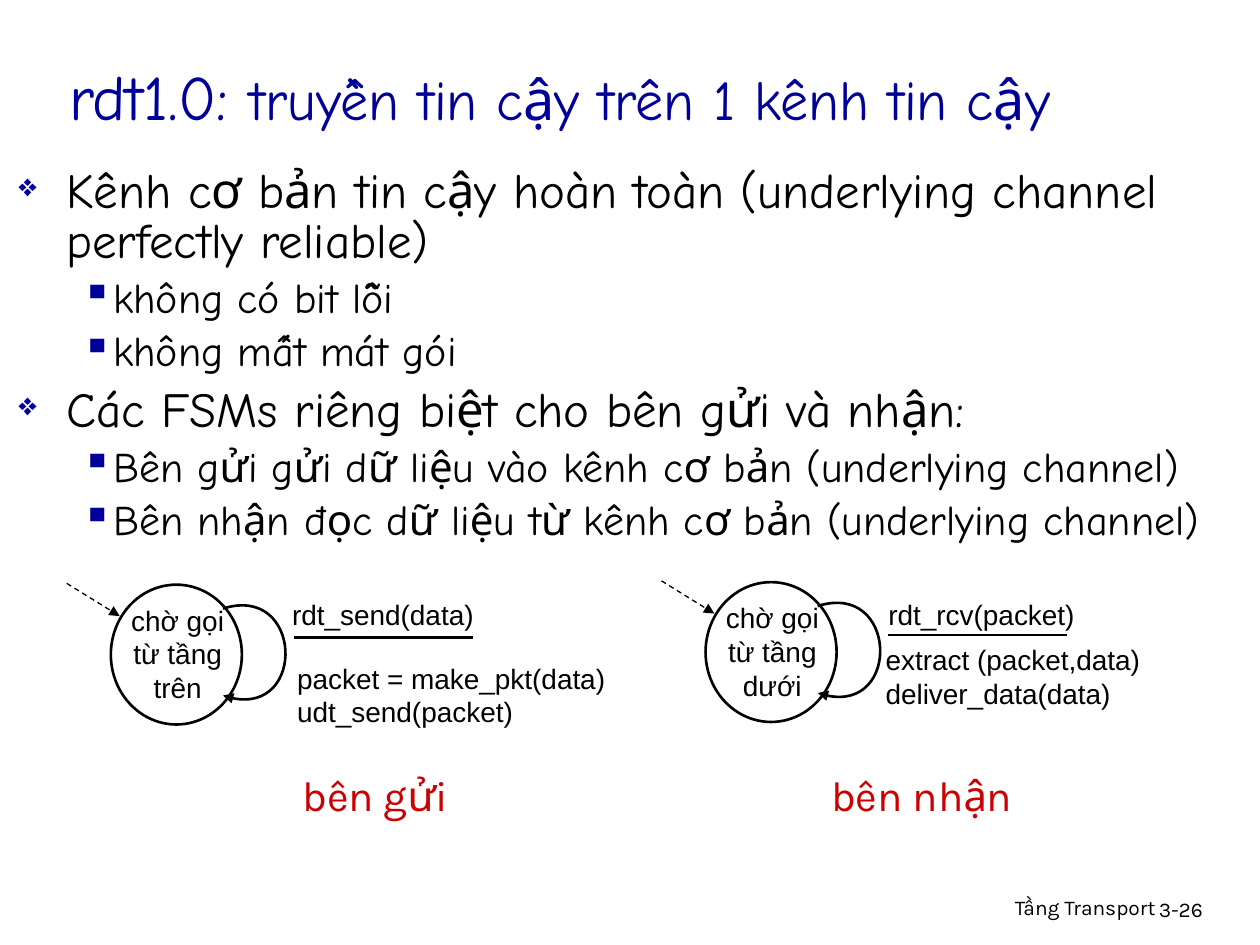
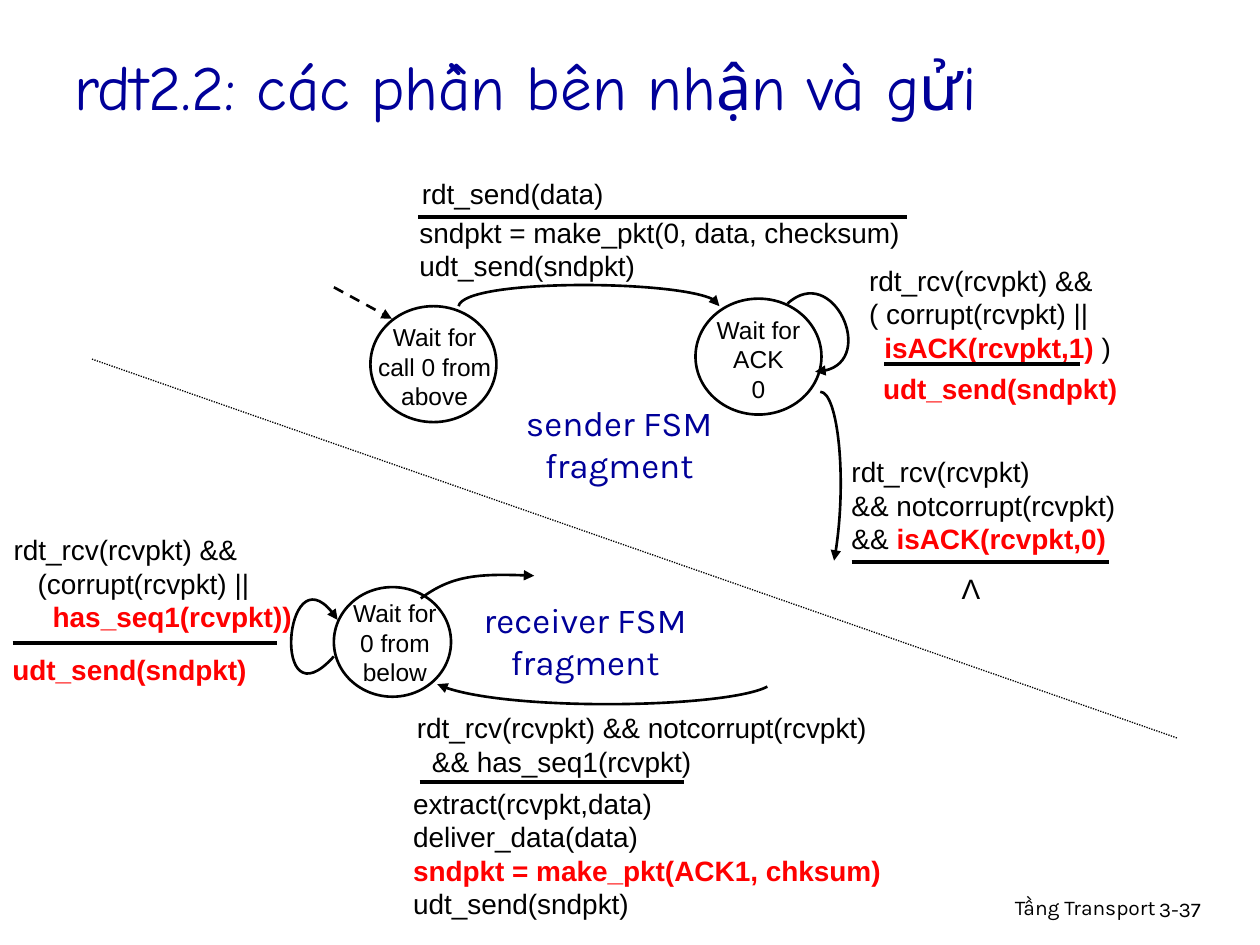
from dataclasses import dataclass

from lxml import etree
from pptx import Presentation
from pptx import util as u
from pptx.dml.color import RGBColor
from pptx.enum import dml, shapes, text
from pptx.oxml import ns

PX = 9144  # one px is a hundredth of an inch


@dataclass(frozen=True)
class Theme:
    black: str = "000000"
    white: str = "FFFFFF"
    blue: str = "000099"
    red: str = "CC0000"
    mark: str = "FF0000"
    hand: str = "Comic Neue"
    label: str = "Karla"
    code: str = "Arial"
    title: int = 36
    sub: int = 32
    body: int = 28
    item: int = 24
    side: int = 20
    event: int = 16
    state: int = 14
    foot: int = 12
    thin: float = 0.75
    line: float = 1.5
    rule: float = 2.25


T = Theme()
LEFT, MID, RIGHT = text.PP_ALIGN.LEFT, text.PP_ALIGN.CENTER, text.PP_ALIGN.RIGHT
DASH, DOTS = dml.MSO_LINE.DASH, dml.MSO_LINE.ROUND_DOT


# Basic formatting
def px(*nums):
    return [u.Emu(round(n * PX)) for n in nums]


def rgb(hue):
    return RGBColor.from_string(hue)


def add_tag(node, tag, **attrs):
    return etree.SubElement(node, ns.qn(tag), **attrs)


def set_font(font, name, size, hue, bold=None):
    font.name, font.size, font.bold = name, u.Pt(size), bold
    font.color.rgb = rgb(hue)


def set_line(shape, width, arrow=False, dash=None):
    line = shape.line
    line.color.rgb, line.width = rgb(T.black), u.Pt(width)
    if dash is not None:
        line.dash_style = dash
    if arrow:
        add_tag(line._get_or_add_ln(), "a:tailEnd", type="triangle")


# Text
def put_line(para, line, name, size, hue):
    """Words between asterisks are bold red."""
    bits = [(i % 2, t) for i, t in enumerate(line.split("*")) if t]
    if len(bits) == 1 and bits[0][0]:
        set_font(para.font, name, size, T.mark, True)
    else:
        set_font(para.font, name, size, hue)
    for strong, words in bits:
        run = para.add_run()
        run.text = words
        if strong and len(bits) > 1:
            run.font.bold = True
            run.font.color.rgb = rgb(T.mark)


def add_text(slide, box, lines, size=T.event, name=T.code, hue=T.black,
             align=LEFT, wrap=True):
    """A line is a string, or a string with its indent."""
    frame = slide.shapes.add_textbox(*px(*box)).text_frame
    frame.word_wrap = wrap
    if not wrap:
        frame.auto_size = text.MSO_AUTO_SIZE.SHAPE_TO_FIT_TEXT
    for i, line in enumerate(lines):
        para = frame.paragraphs[0] if i == 0 else frame.add_paragraph()
        para.alignment = align
        if isinstance(line, tuple):
            line, indent = line
            para._p.get_or_add_pPr().set("marL", str(indent * PX))
        put_line(para, line, name, size, hue)


def add_list(slide, box, items):
    frame = slide.shapes.add_textbox(*px(*box)).text_frame
    frame.word_wrap = True
    for i, (level, line) in enumerate(items):
        size, before, left, hang, sign = (
            (T.item, 6, 75, 25, "▪") if level else (T.body, 7, 38, 38, "❖"))
        para = frame.paragraphs[0] if i == 0 else frame.add_paragraph()
        para.level, para.line_spacing = level, 0.85
        para.space_before = u.Pt(before)
        props = para._p.get_or_add_pPr()
        props.set("marL", str(left * PX))
        props.set("indent", str(-hang * PX))
        add_tag(add_tag(props, "a:buClr"), "a:srgbClr", val=T.blue)
        if not level:
            add_tag(props, "a:buSzPct", val="65000")
        add_tag(props, "a:buChar", char=sign)
        put_line(para, line, T.hand, size, T.black)


# Lines and states
def add_rule(slide, x1, y1, x2, y2, width=T.rule, **style):
    link = slide.shapes.add_connector(
        shapes.MSO_CONNECTOR.STRAIGHT, *px(x1, y1, x2, y2))
    set_line(link, width, **style)
    add_tag(link._element.spPr, "a:effectLst")


def add_curve(slide, start, *points):
    """One Bézier arc with an arrowhead at its end."""
    build = slide.shapes.build_freeform(*start, scale=PX)
    build.add_line_segments(points, close=False)
    arc = build.convert_to_shape()
    legs = list(arc._element.iter(ns.qn("a:lnTo")))
    bend = add_tag(legs[0].getparent(), "a:cubicBezTo")
    for leg in legs:
        bend.append(leg[0])
        leg.getparent().remove(leg)
    arc.fill.background()
    arc.shadow.inherit = False
    set_line(arc, T.line, arrow=True)


def add_state(slide, oval, box, lines, size=T.state):
    ring = slide.shapes.add_shape(shapes.MSO_SHAPE.OVAL, *px(*oval))
    ring.fill.solid()
    ring.fill.fore_color.rgb = rgb(T.white)
    ring.shadow.inherit = False
    set_line(ring, T.line)
    add_text(slide, box, lines, size, align=MID)


def add_loop(slide, x, y, words):
    """A state with its entry arrow, self loop and rule."""
    add_state(slide, (x, y, 104, 111), (x - 7, y + 10, 120, 100), [words], T.event)
    add_curve(slide, (x + 89, y + 19), (x + 152, y - 1),
              (x + 156, y + 111), (x + 89, y + 88))
    add_rule(slide, x + 145, y + 42, x + 287, y + 42, T.line)
    add_rule(slide, x - 35, y - 1, x + 7, y + 25, T.thin, arrow=True, dash=DASH)


# Shared title and footer
def add_slide(deck, box, runs, number):
    slide = deck.slides.add_slide(deck.slide_layouts[5])
    title = slide.shapes.title
    title.left, title.top, title.width, title.height = px(*box)
    frame = title.text_frame
    frame.auto_size = text.MSO_AUTO_SIZE.NONE
    frame.vertical_anchor = text.MSO_ANCHOR.MIDDLE
    para = frame.paragraphs[0]
    para.alignment = LEFT
    set_font(para.font, T.hand, T.title, T.blue)
    for words, size in runs:
        run = para.add_run()
        run.text, run.font.size = words, u.Pt(size)
    add_text(slide, (610, 705, 317, 31), ["Tầng Transport"], T.foot, T.label, align=RIGHT)
    add_text(slide, (910, 707, 74, 30), [number], T.foot, T.label)
    return slide


def make_first(deck):
    slide = add_slide(deck, (45, 21, 875, 110), [
        ("rdt1.0: ", T.title), ("truyền tin cậy trên 1 kênh tin cậy", T.sub)], "3-26")
    add_list(slide, (5, 129, 976, 330), [
        (0, "Kênh cơ bản tin cậy hoàn toàn (underlying channel perfectly reliable)"),
        (1, "không có bit lỗi"),
        (1, "không mất mát gói"),
        (0, "Các FSMs riêng biệt cho bên gửi và nhận:"),
        (1, "Bên gửi gửi dữ liệu vào kênh cơ bản (underlying channel)"),
        (1, "Bên nhận đọc dữ liệu từ kênh cơ bản (underlying channel)")])

    # Sender and receiver
    add_loop(slide, 88, 464, "chờ gọi từ tầng trên")
    add_text(slide, (222, 469, 247, 47), ["rdt_send(data)"])
    add_text(slide, (226, 520, 293, 65), ["packet = make_pkt(data)", "udt_send(packet)"])
    add_loop(slide, 560, 462, "chờ gọi từ tầng dưới")
    add_text(slide, (695, 469, 168, 37), ["rdt_rcv(packet)"], align=MID, wrap=False)
    add_text(slide, (693, 505, 272, 47), ["extract (packet,data)", "deliver_data(data)"])
    for x, width, words in ((228, 140, "bên gửi"), (647, 169, "bên nhận")):
        add_text(slide, (x, 606, width, 50), [words], T.item, T.label, T.red, MID, False)


def make_second(deck):
    slide = add_slide(deck, (49, 19, 894, 97),
                      [("rdt2.2: các phần bên nhận và gửi", T.title)], "3-37")
    add_rule(slide, 73, 285, 935, 586, T.thin, dash=DOTS)
    for x, y, width, side in ((405, 314, 173, "sender"), (371, 470, 187, "receiver")):
        add_text(slide, (x, y, width, 77), [f"{side} FSM", "fragment"],
                 T.side, T.label, T.blue, MID, False)

    # Sender states and moves
    add_state(slide, (294, 243, 100, 92), (287, 251, 116, 67),
              ["Wait for call 0 from above"])
    add_state(slide, (552, 237, 100, 92), (544, 245, 116, 67), ["Wait for ACK", "0"])
    add_rule(slide, 265, 228, 311, 253, T.line, arrow=True, dash=DASH)
    add_curve(slide, (364, 243), (368, 221), (571, 222), (571, 243))
    add_curve(slide, (625, 241), (661, 208), (700, 294), (647, 295))
    add_curve(slide, (651, 311), (665, 311), (673, 385), (662, 445))

    # Sender events and actions
    add_text(slide, (325, 135, 189, 31), ["rdt_send(data)"])
    add_rule(slide, 332, 172, 720, 172)
    add_text(slide, (323, 166, 407, 44),
             ["sndpkt = make_pkt(0, data, checksum)", "udt_send(sndpkt)"])
    add_text(slide, (680, 204, 297, 63), [
        "rdt_rcv(rcvpkt) &&", "( corrupt(rcvpkt) ||", ("*isACK(rcvpkt,1)* )", 12)])
    add_rule(slide, 702, 289, 857, 289)
    add_text(slide, (691, 290, 232, 44), ["*udt_send(sndpkt)*"])
    add_text(slide, (666, 356, 264, 63), [
        "rdt_rcv(rcvpkt)", "&& notcorrupt(rcvpkt)", "&& *isACK(rcvpkt,0)*"])
    add_rule(slide, 676, 446, 880, 446)
    add_text(slide, (750, 449, 41, 37), ["Λ"], align=MID)

    # Receiver state and moves
    add_state(slide, (265, 466, 93, 87), (270, 470, 87, 67), ["Wait for", "0 from below"])
    add_curve(slide, (334, 475), (358, 457), (382, 455), (424, 457))
    add_curve(slide, (609, 545), (576, 562), (393, 565), (347, 543))
    add_curve(slide, (265, 521), (215, 577), (226, 428), (268, 492))

    # Receiver events and actions
    add_text(slide, (1, 418, 258, 70), [
        "rdt_rcv(rcvpkt) &&", ("(corrupt(rcvpkt) ||", 19), ("*has_seq1(rcvpkt))*", 31)])
    add_rule(slide, 10, 510, 220, 510)
    add_text(slide, (0, 513, 223, 45), ["*udt_send(sndpkt)*"])
    add_text(slide, (321, 559, 431, 63),
             ["rdt_rcv(rcvpkt) && notcorrupt(rcvpkt)", ("&& has_seq1(rcvpkt)", 12)])
    add_rule(slide, 333, 621, 543, 621)
    add_text(slide, (318, 619, 457, 76), [
        "extract(rcvpkt,data)", "deliver_data(data)",
        "*sndpkt = make_pkt(ACK1, chksum)*", "udt_send(sndpkt)"])


def main():
    deck = Presentation()
    deck.slide_width, deck.slide_height = px(1000, 750)
    make_first(deck)
    make_second(deck)
    deck.save("out.pptx")


if __name__ == "__main__":
    main()
